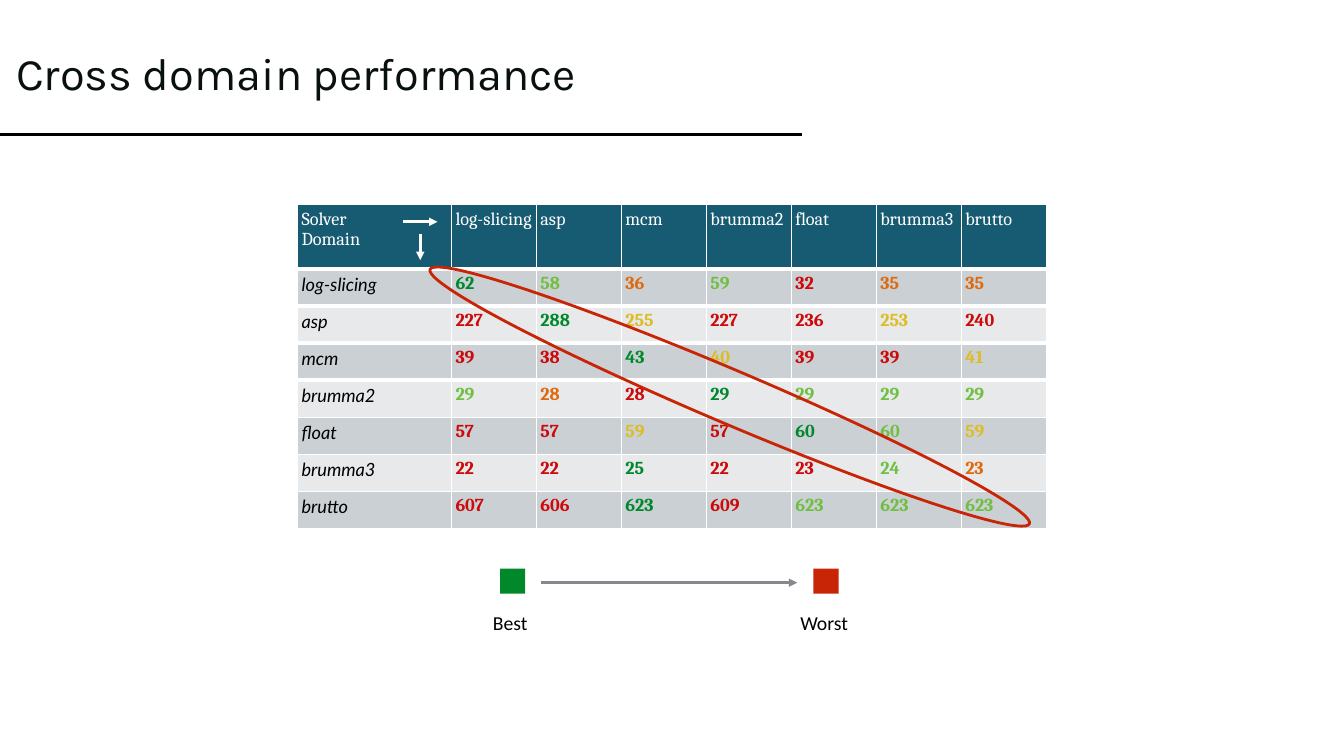
from dataclasses import dataclass

import pptx
import pptx.dml.color
import pptx.enum.shapes
import pptx.enum.text
import pptx.oxml
import pptx.oxml.ns
import pptx.util

Pt = pptx.util.Pt
NS = pptx.oxml.ns.nsdecls("a")

BLACK, WHITE, BEST, WORST = "000000", "FFFFFF", "00882B", "C82506"
HEADER, BANDS = "175B73", ("CAD0D4", "E7E9EB")
# Rank colours, best to worst
RANKS = {"A": BEST, "B": "70BF41", "C": "DCBD23", "D": "DE6A10", "E": "CD0909"}


@dataclass
class Result:
    domain: str
    scores: list[int]
    ranks: str


@dataclass
class Line:
    x1: float
    y1: float
    x2: float
    y2: float
    color: str
    width: float
    arrow: bool = True


@dataclass
class Key:
    label: str
    color: str
    square_x: float
    label_x: float
    label_w: float


RESULTS = [
    Result("log-slicing", [62, 58, 36, 59, 32, 35, 35], "ABDBEDD"),
    Result("asp", [227, 288, 255, 227, 236, 253, 240], "EACEECE"),
    Result("mcm", [39, 38, 43, 40, 39, 39, 41], "EEACEEC"),
    Result("brumma2", [29, 28, 28, 29, 29, 29, 29], "BDEABBB"),
    Result("float", [57, 57, 59, 57, 60, 60, 59], "EECEABC"),
    Result("brumma3", [22, 22, 25, 22, 23, 24, 23], "EEAEEBD"),
    Result("brutto", [607, 606, 623, 609, 623, 623, 623], "EEAEBBB"),
]
# Horizontal rules from the top edge of the table to the bottom edge
RULES = [1, 3, 3, 3, 3, 1, 1, 1, 1]

LINES = [
    Line(0, 96, 573, 96, BLACK, 2.25, arrow=False),
    Line(288, 158.4, 312.5, 158.4, WHITE, 2),
    Line(300.2, 167, 300.2, 185.8, WHITE, 2),
    Line(386.6, 416.2, 569.5, 416.2, "85888D", 2),
]
KEYS = [
    Key("Best", BEST, 357.2, 349.2, 31),
    Key("Worst", WORST, 581, 568.8, 40.3),
]


def rgb(color: str) -> pptx.dml.color.RGBColor:
    return pptx.dml.color.RGBColor.from_string(color)


def add_run(p, text: str, font: str, size: float, color: str,
            bold: bool = False, italic: bool = False) -> None:
    r = p.add_run()
    r.text = text
    r.font.name, r.font.size = font, Pt(size)
    r.font.bold, r.font.italic = bold, italic
    r.font.color.rgb = rgb(color)


def add_line(s, line: Line) -> None:
    sp = s.shapes.add_connector(pptx.enum.shapes.MSO_CONNECTOR.STRAIGHT,
                                Pt(line.x1), Pt(line.y1), Pt(line.x2), Pt(line.y2))
    sp.line.color.rgb = rgb(line.color)
    sp.line.width = Pt(line.width)
    if line.arrow:
        sp.line._get_or_add_ln().append(
            pptx.oxml.parse_xml(f'<a:tailEnd {NS} type="triangle"/>'))
    sp._element.spPr.append(pptx.oxml.parse_xml(f"<a:effectLst {NS}/>"))


def format_cell(cell, fill: str, top: float, bottom: float) -> None:
    cell.margin_left = cell.margin_right = Pt(2.88)
    cell.margin_top = cell.margin_bottom = Pt(2.88)
    tcPr = cell._tc.get_or_add_tcPr()
    for side, width in (("L", 1), ("R", 1), ("T", top), ("B", bottom)):
        tcPr.append(pptx.oxml.parse_xml(
            f'<a:ln{side} {NS} w="{Pt(width)}"><a:solidFill>'
            f'<a:srgbClr val="{WHITE}"/></a:solidFill></a:ln{side}>'))
    cell.fill.solid()
    cell.fill.fore_color.rgb = rgb(fill)


def add_results(s) -> None:
    n = len(RESULTS)
    first_w, col_w, header_h, row_h = 109.9, 60.7, 46.1, 26.43
    table = s.shapes.add_table(n + 1, n + 1, Pt(212.6), Pt(146.2),
                               Pt(first_w + n * col_w), Pt(header_h + n * row_h)).table
    table.first_row = table.horz_banding = False
    for i in range(n + 1):
        table.columns[i].width = Pt(col_w if i else first_w)
        table.rows[i].height = Pt(row_h if i else header_h)
        fill = BANDS[(i - 1) % 2] if i else HEADER
        for j in range(n + 1):
            format_cell(table.cell(i, j), fill, RULES[i], RULES[i + 1])

    # Header row
    tf = table.cell(0, 0).text_frame
    add_run(tf.paragraphs[0], "Solver", "Cambria", 13, WHITE)
    add_run(tf.add_paragraph(), "Domain", "Cambria", 13, WHITE)

    # Domains down, solvers across, scores coloured by rank
    for i, result in enumerate(RESULTS, 1):
        add_run(table.cell(0, i).text_frame.paragraphs[0],
                result.domain, "Cambria", 13, WHITE)
        add_run(table.cell(i, 0).text_frame.paragraphs[0],
                result.domain, "Lato", 13, BLACK, italic=True)
        for j, (score, rank) in enumerate(zip(result.scores, result.ranks), 1):
            add_run(table.cell(i, j).text_frame.paragraphs[0],
                    str(score), "Cambria", 13, RANKS[rank], bold=True)


def add_key(s, key: Key) -> None:
    sp = s.shapes.add_shape(pptx.enum.shapes.MSO_SHAPE.RECTANGLE,
                            Pt(key.square_x), Pt(406.1), Pt(18), Pt(18))
    sp.shadow.inherit = False
    sp.fill.solid()
    sp.fill.fore_color.rgb = rgb(key.color)
    sp.line.fill.background()

    tf = s.shapes.add_textbox(Pt(key.label_x), Pt(433.4),
                              Pt(key.label_w), Pt(23)).text_frame
    tf.margin_left = tf.margin_right = tf.margin_top = tf.margin_bottom = Pt(2.88)
    tf.word_wrap = False
    tf.auto_size = pptx.enum.text.MSO_AUTO_SIZE.SHAPE_TO_FIT_TEXT
    tf.vertical_anchor = pptx.enum.text.MSO_ANCHOR.MIDDLE
    add_run(tf.paragraphs[0], key.label, "Calibri", 14.1, BLACK)


def add_title(s, text: str) -> None:
    sp = s.shapes.title
    sp.left, sp.top, sp.width, sp.height = Pt(4.3), Pt(2.2), Pt(540.7), Pt(104.4)
    tf = sp.text_frame
    tf.word_wrap = True
    tf.auto_size = pptx.enum.text.MSO_AUTO_SIZE.NONE
    tf.vertical_anchor = pptx.enum.text.MSO_ANCHOR.MIDDLE
    p = tf.paragraphs[0]
    p.alignment = pptx.enum.text.PP_ALIGN.LEFT
    p.line_spacing = 0.9
    add_run(p, text, "Karla", 32.3, "08110B")


def add_diagonal_ring(s) -> None:
    sp = s.shapes.add_shape(pptx.enum.shapes.MSO_SHAPE.OVAL,
                            Pt(288.7), Pt(264.2), Pt(465.1), Pt(38.2))
    sp.rotation = 23
    sp.shadow.inherit = False
    sp.fill.background()
    sp.line.color.rgb = rgb(WORST)
    sp.line.width = Pt(2)


def main() -> None:
    prs = pptx.Presentation()
    prs.slide_width, prs.slide_height = Pt(960), Pt(540)
    s = prs.slides.add_slide(prs.slide_layouts[5])

    add_title(s, "Cross domain performance")
    add_results(s)
    for line in LINES:
        add_line(s, line)
    for key in KEYS:
        add_key(s, key)
    add_diagonal_ring(s)

    prs.save("out.pptx")


if __name__ == "__main__":
    main()
